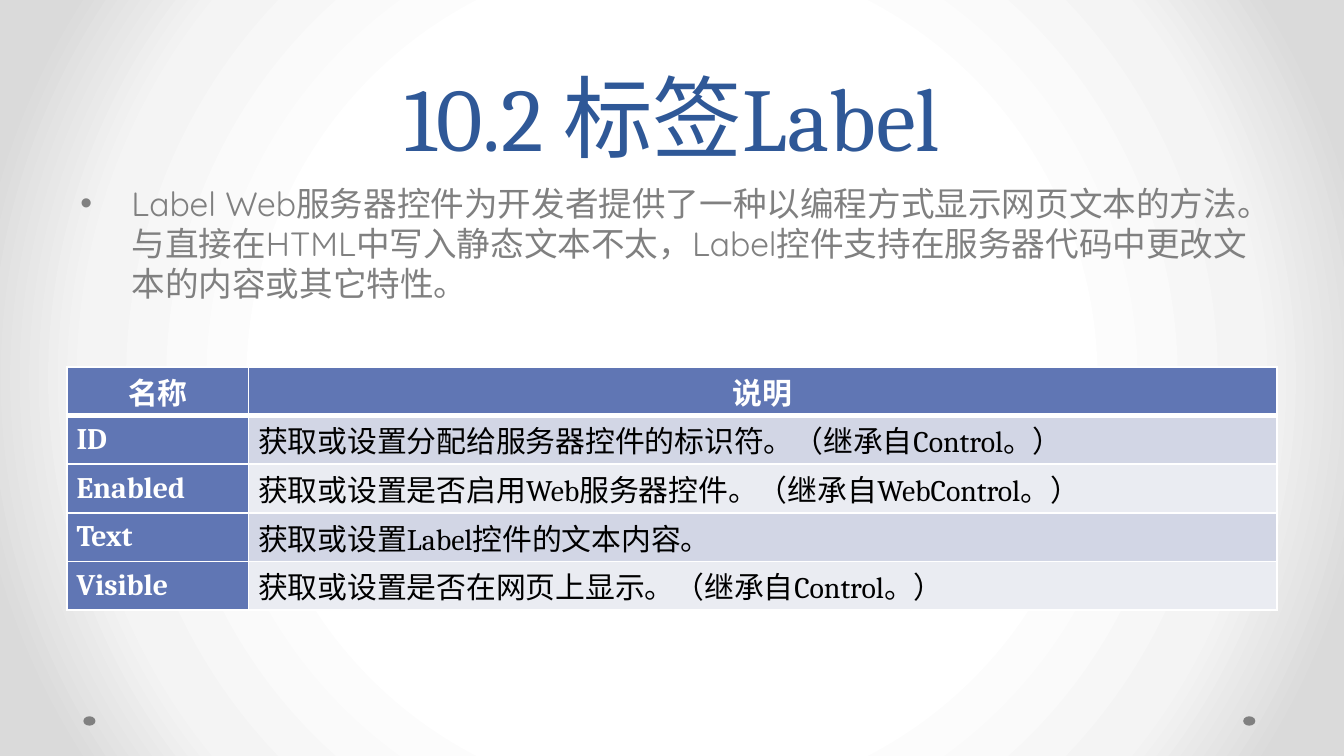
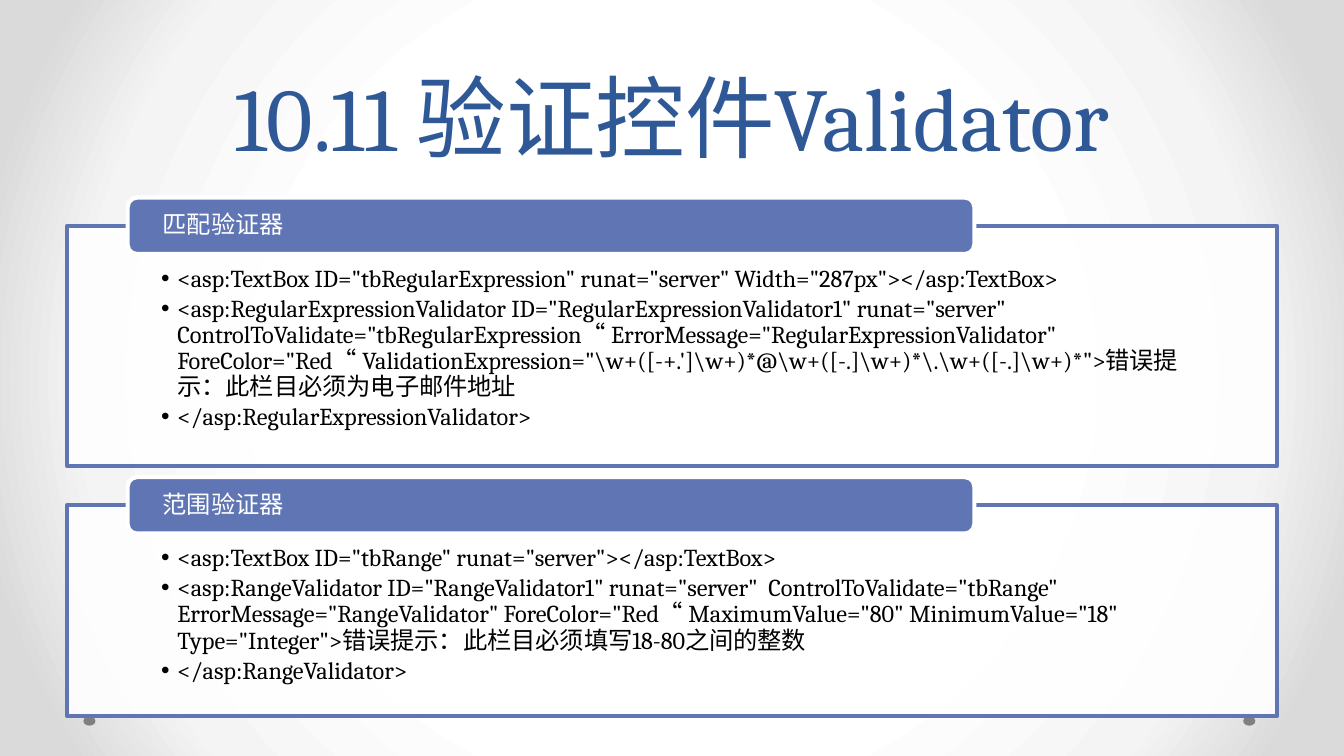
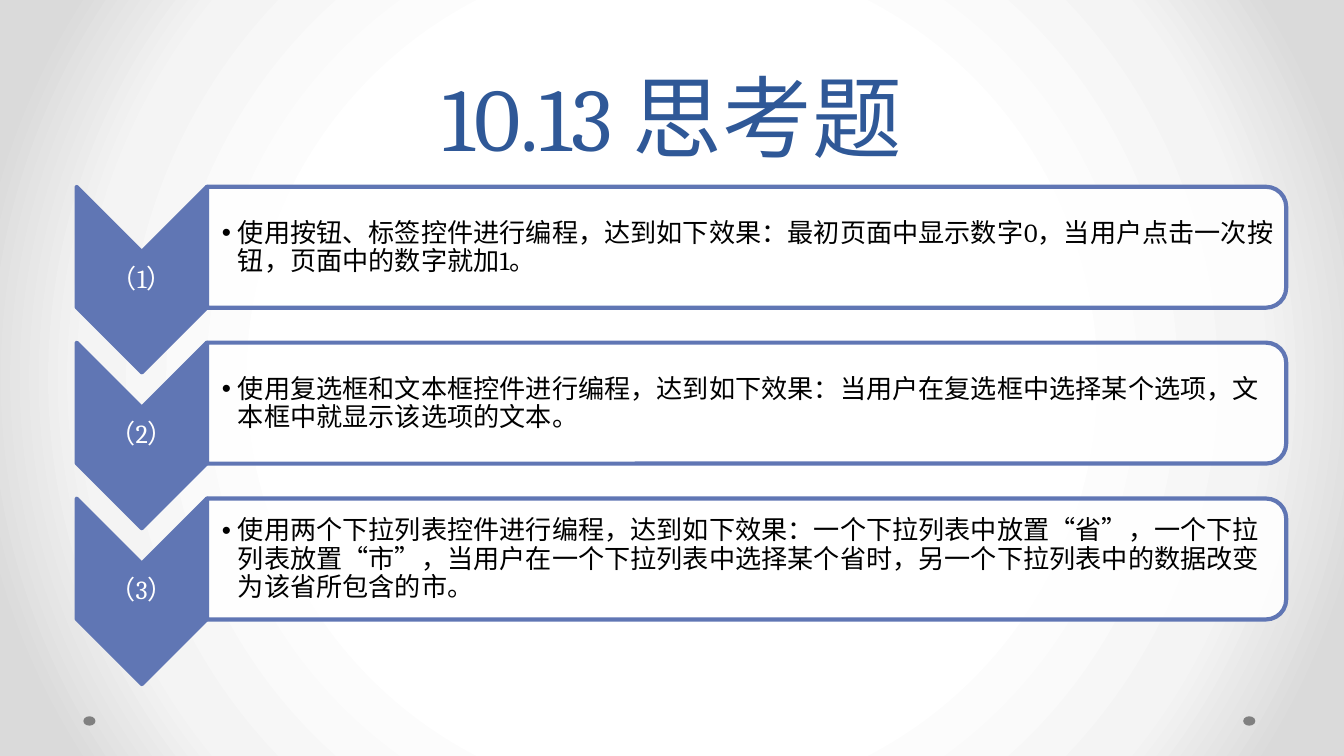
from lxml import etree
from pptx import Presentation
from pptx.dml.color import RGBColor
from pptx.enum.shapes import MSO_SHAPE
from pptx.enum.text import MSO_ANCHOR, PP_ALIGN
from pptx.oxml import parse_xml
from pptx.oxml.ns import nsdecls, qn
from pptx.util import Inches, Pt

BLUE, NAVY, GRAY, WHITE, BLACK = "6076B4", "2F5897", "808080", "FFFFFF", "000000"
BAND_FILLS = ("D2D6E5", "EAECF2")
SERIF, SANS, BULLET_FACE = "Cambria", "Quicksand", "Arial"
BACKGROUND_STOPS = ((50, "FFFFFF"), (76, "F4F4F4"), (92, "DADADA"))

TITLE_FONT = {"size": Pt(48), "name": SERIF, "color": NAVY}
BODY_FONT = {"size": Pt(18), "name": SANS, "color": GRAY}
TABLE_FONT = {"size": Pt(16), "name": SERIF, "color": BLACK, "bold": False}
TABLE_HEAD_FONT = TABLE_FONT | {"color": WHITE, "bold": True}
CODE_FONT = {"size": Pt(13), "name": SERIF, "color": BLACK}
TAB_FONT = CODE_FONT | {"color": WHITE}
QUESTION_FONT = {"size": Pt(14), "name": SERIF, "color": BLACK}
NUMBER_FONT = QUESTION_FONT | {"color": WHITE}

TITLE_PARA = {"alignment": PP_ALIGN.CENTER, "line_spacing": Pt(58)}
CENTERED = {"alignment": PP_ALIGN.CENTER}
LEFT = {"alignment": PP_ALIGN.LEFT}
TIGHT = LEFT | {"line_spacing": 0.9}
TIGHT_LIST = TIGHT | {"space_after": Pt(2)}

LABEL_TEXT = (
    "Label Web服务器控件为开发者提供了一种以编程方式显示网页文本的方法。"
    "与直接在HTML中写入静态文本不太，Label控件支持在服务器代码中更改文本的内容或其它特性。"
)
LABEL_ROWS = (
    ("名称", "说明"),
    ("ID", "获取或设置分配给服务器控件的标识符。（继承自Control。）"),
    ("Enabled", "获取或设置是否启用Web服务器控件。（继承自WebControl。）"),
    ("Text", "获取或设置Label控件的文本内容。"),
    ("Visible", "获取或设置是否在网页上显示。（继承自Control。）"),
)
VALIDATORS = (
    ("匹配验证器", 1.79, (
        '<asp:TextBox ID="tbRegularExpression" runat="server" Width="287px"></asp:TextBox>',
        '<asp:RegularExpressionValidator ID="RegularExpressionValidator1" runat="server" '
        'ControlToValidate="tbRegularExpression“ ErrorMessage="RegularExpressionValidator" '
        r'ForeColor="Red“ ValidationExpression="\w+([-+.'
        r"']\w+)*@\w+([-.]\w+)*\.\w+([-.]\w+)*"
        '">错误提示：此栏目必须为电子邮件地址',
        "</asp:RegularExpressionValidator>",
    )),
    ("范围验证器", 1.57, (
        '<asp:TextBox ID="tbRange" runat="server"></asp:TextBox>',
        '<asp:RangeValidator ID="RangeValidator1" runat="server"  ControlToValidate="tbRange" '
        'ErrorMessage="RangeValidator" ForeColor="Red“ MaximumValue="80" MinimumValue="18" '
        'Type="Integer">错误提示：此栏目必须填写18-80之间的整数',
        "</asp:RangeValidator>",
    )),
)
QUESTIONS = (
    "使用按钮、标签控件进行编程，达到如下效果：最初页面中显示数字0，当用户点击一次按钮，页面中的数字就加1。",
    "使用复选框和文本框控件进行编程，达到如下效果：当用户在复选框中选择某个选项，文本框中就显示该选项的文本。",
    "使用两个下拉列表控件进行编程，达到如下效果：一个下拉列表中放置“省”，一个下拉列表放置“市”，"
    "当用户在一个下拉列表中选择某个省时，另一个下拉列表中的数据改变为该省所包含的市。",
)


def color(value):
    return RGBColor.from_string(value)


def add_bullet(para, indent):
    props = para._p.get_or_add_pPr()
    props.set("marL", str(Inches(indent)))
    props.set("indent", str(-Inches(indent)))
    etree.SubElement(props, qn("a:buFont"), typeface=BULLET_FACE)
    etree.SubElement(props, qn("a:buChar"), char="•")


def write(frame, lines, font, layout, insets=(0.1, 0.05, 0.1, 0.05),
          anchor=MSO_ANCHOR.TOP, indent=None):
    """Fill a text frame, one paragraph a line, bulleted when indent is given."""
    frame.word_wrap = True
    frame.vertical_anchor = anchor
    for side, inset in zip(("left", "top", "right", "bottom"), insets):
        setattr(frame, f"margin_{side}", Inches(inset))
    for index, line in enumerate(lines):
        para = frame.add_paragraph() if index else frame.paragraphs[0]
        if indent:
            add_bullet(para, indent)
        for name, value in layout.items():
            setattr(para, name, value)
        span = para.add_run()
        span.text = line
        for name, value in font.items():
            if name == "color":
                span.font.color.rgb = color(value)
            else:
                setattr(span.font, name, value)


def add_text(page, box, lines, font, layout, **options):
    shape = page.shapes.add_textbox(*map(Inches, box))
    write(shape.text_frame, lines, font, layout, **options)


def add_shape(page, kind, box, fill, line=None, opacity=None, rotation=0):
    shape = page.shapes.add_shape(kind, *map(Inches, box))
    shape.shadow.inherit = False
    shape.rotation = rotation
    shape.fill.solid()
    shape.fill.fore_color.rgb = color(fill)
    if opacity:
        tint = shape._element.spPr.find(qn("a:solidFill"))[0]
        etree.SubElement(tint, qn("a:alpha"), val=str(opacity * 1000))
    if line:
        shape.line.color.rgb = color(line)
        shape.line.width = Pt(2.25)
    else:
        shape.line.fill.background()
    return shape


def add_turned(page, kind, box, **style):
    """Add a shape turned a quarter clockwise so that it fills the box."""
    left, top, width, height = box
    shift = (width - height) / 2
    add_shape(page, kind, (left + shift, top - shift, height, width), rotation=90, **style)


def set_background(deck):
    deck.slide_master.background.fill.solid()
    properties = deck.slide_master.element.cSld.find(qn("p:bg")).find(qn("p:bgPr"))
    stops = "".join(
        f'<a:gs pos="{place * 1000}"><a:srgbClr val="{value}"/></a:gs>'
        for place, value in BACKGROUND_STOPS
    )
    gradient = parse_xml(
        f'<a:gradFill {nsdecls("a")} rotWithShape="1"><a:gsLst>{stops}</a:gsLst>'
        '<a:path path="circle"><a:fillToRect l="50000" t="50000" r="50000" b="50000"/>'
        "</a:path></a:gradFill>"
    )
    properties.replace(properties.find(qn("a:solidFill")), gradient)


def add_page(deck, title):
    page = deck.slides.add_slide(deck.slide_layouts[6])
    for left in (9.25, 0.62):
        add_shape(page, MSO_SHAPE.OVAL, (left, 5.33, 0.09, 0.07), GRAY)
    add_text(page, (0.5, 0, 9, 1.31), [title], TITLE_FONT, TITLE_PARA,
             anchor=MSO_ANCHOR.BOTTOM)
    return page


def set_borders(cell, widths):
    props = cell._tc.get_or_add_tcPr()
    for index, (side, width) in enumerate(widths.items()):
        props.insert(index, parse_xml(
            f'<a:{side} {nsdecls("a")} w="{Pt(width)}"><a:solidFill>'
            f'<a:srgbClr val="{WHITE}"/></a:solidFill></a:{side}>'
        ))


def add_property_table(page, box, rows, name_width):
    left, top, width, height = box
    table = page.shapes.add_table(len(rows), 2, *map(Inches, box)).table
    for column, size in zip(table.columns, (name_width, width - name_width)):
        column.width = Inches(size)
    for row_index, row in enumerate(rows):
        table.rows[row_index].height = Inches(height / len(rows))
        for column_index, text in enumerate(row):
            cell = table.cell(row_index, column_index)
            is_head = row_index == 0 or column_index == 0
            cell.fill.solid()
            cell.fill.fore_color.rgb = color(
                BLUE if is_head else BAND_FILLS[(row_index - 1) % 2])
            write(cell.text_frame, [text], TABLE_HEAD_FONT if is_head else TABLE_FONT,
                  LEFT if row_index else CENTERED)
            cell.vertical_anchor = MSO_ANCHOR.MIDDLE
            cell.margin_left = cell.margin_right = Inches(0.07)
            cell.margin_top = cell.margin_bottom = 0
            set_borders(cell, {"lnL": 1, "lnR": 1, "lnT": 3 if row_index == 1 else 1,
                               "lnB": 1 if row_index else 3})


def add_validator_panel(page, box, heading, lines):
    left, top, width, height = box
    panel = add_shape(page, MSO_SHAPE.RECTANGLE, box, WHITE, BLUE, opacity=90)
    write(panel.text_frame, lines, CODE_FONT, TIGHT_LIST,
          insets=(0.7, 0.3, 0.7, 0.1), indent=0.12)
    tab_height = 0.42
    tab = add_shape(page, MSO_SHAPE.ROUNDED_RECTANGLE,
                    (left + width * 0.05, top - tab_height / 2, width * 0.7, tab_height),
                    BLUE, WHITE)
    write(tab.text_frame, [heading], TAB_FONT, TIGHT,
          insets=(0.24, 0, 0.24, 0), anchor=MSO_ANCHOR.MIDDLE)


def add_question(page, box, number, text):
    left, top, width, height = box
    arrow_width, bar_height = 0.97, 0.9
    add_turned(page, MSO_SHAPE.CHEVRON, (left, top, arrow_width, height),
               fill=BLUE, line=BLUE)
    add_text(page, (left, top + arrow_width / 2, arrow_width, height - arrow_width),
             [f"（{number}）"], NUMBER_FONT, TIGHT | CENTERED,
             insets=(0.01,) * 4, anchor=MSO_ANCHOR.MIDDLE)
    bar_left, bar_width = left + arrow_width, width - arrow_width
    add_turned(page, MSO_SHAPE.ROUND_2_SAME_RECTANGLE,
               (bar_left, top, bar_width, bar_height), fill=WHITE, line=BLUE, opacity=90)
    add_text(page, (bar_left, top + 0.05, bar_width - 0.04, bar_height - 0.09),
             [text], QUESTION_FONT, TIGHT_LIST, insets=(0.11, 0.01, 0.01, 0.01),
             anchor=MSO_ANCHOR.MIDDLE, indent=0.12)


def build_label_page(deck):
    page = add_page(deck, "10.2 标签Label")
    add_text(page, (0.5, 1.31, 9, 3.71), [LABEL_TEXT], BODY_FONT, LEFT, indent=0.38)
    add_property_table(page, (0.5, 2.73, 9, 1.81), LABEL_ROWS, name_width=1.35)


def build_validator_page(deck):
    page = add_page(deck, "10.11 验证控件Validator")
    top, gap = 1.68, 0.29
    for heading, height, lines in VALIDATORS:
        add_validator_panel(page, (0.5, top, 9, height), heading, lines)
        top += height + gap


def build_question_page(deck):
    page = add_page(deck, "10.13 思考题")
    first_top, pitch = 1.39, 1.16
    for index, text in enumerate(QUESTIONS):
        add_question(page, (0.57, first_top + index * pitch, 9, 1.38), index + 1, text)


def main():
    deck = Presentation()
    deck.slide_width = Inches(10)
    deck.slide_height = deck.slide_width * 9 // 16
    set_background(deck)
    build_label_page(deck)
    build_validator_page(deck)
    build_question_page(deck)
    deck.save("out.pptx")


if __name__ == "__main__":
    main()
